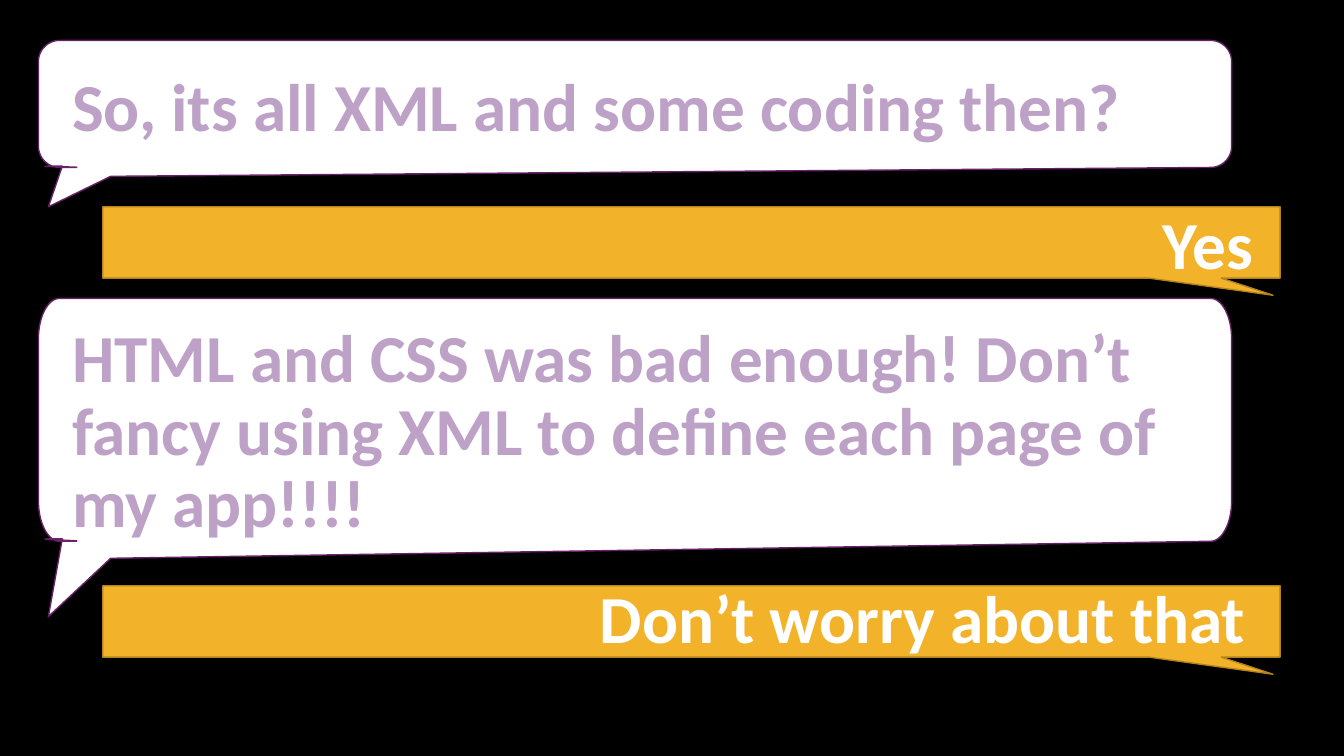
import pptx
import pptx.util
import pptx.dml.color
import pptx.enum.text

Cm = pptx.util.Cm
ALIGN = pptx.enum.text.PP_ALIGN

COLORS = {
    "background": "000000",
    "question": "FFFFFF",
    "question_edge": "69216A",
    "question_text": "BDA1C7",
    "answer": "F2B229",
    "answer_edge": "B3841E",
    "answer_text": "FFFFFF",
}

ANSWERS = [
    {"top": 14.76, "text": "Don’t worry about that", "box": (2.44, 14.6, 29.21, 2.11)},
    {"top": 5.21, "text": "Yes", "box": (4.22, 5.18, 27.61, 2.11)},
]
QUESTIONS = [
    {
        "top": 7.52,
        "height": 6.12,
        "text": "HTML and CSS was bad enough! Don’t fancy using XML to define each page of my app!!!!",
        "box": (1.57, 8, 29.21, 5.84),
    },
    {
        "top": 1.02,
        "height": 3.2,
        "text": "So, its all XML and some coding then?",
        "box": (1.57, 1.7, 29.21, 2.11),
    },
]

ANSWER_LEFT, ANSWER_RIGHT, ANSWER_HEIGHT = 2.59, 32.26, 1.8
QUESTION_LEFT, QUESTION_RIGHT = 0.97, 31.04
CORNER_WIDTH, CORNER_SHARE = 0.53, 1 / 6
CURVE_STEPS = 16
CIRCLE_PULL = 0.55


def rgb(name):
    return pptx.dml.color.RGBColor.from_string(COLORS[name])


def bezier(start, pull_start, pull_end, end):
    curve = []
    for step in range(CURVE_STEPS + 1):
        t = step / CURVE_STEPS
        weights = ((1 - t) ** 3, 3 * t * (1 - t) ** 2, 3 * t * t * (1 - t), t ** 3)
        anchors = (start, pull_start, pull_end, end)
        curve.append(tuple(sum(w * a[axis] for w, a in zip(weights, anchors)) for axis in (0, 1)))
    return curve


def rounded_corner(start, corner, end):
    pulls = [tuple(p + CIRCLE_PULL * (c - p) for p, c in zip(point, corner)) for point in (start, end)]
    return bezier(start, *pulls, end)


def answer_outline(top):
    bottom = top + ANSWER_HEIGHT
    return [
        (ANSWER_LEFT, top), (ANSWER_RIGHT, top), (ANSWER_RIGHT, bottom),
        (30.78, bottom), (32.08, top + 2.23), (28.96, bottom), (ANSWER_LEFT, bottom),
    ]


def question_outline(top, height):
    left, right, bottom = QUESTION_LEFT, QUESTION_RIGHT, top + height
    inner_left, inner_right = left + CORNER_WIDTH, right - CORNER_WIDTH
    upper, lower = top + CORNER_SHARE * height, bottom - CORNER_SHARE * height
    notch = bottom - 0.01 * height
    return [
        *rounded_corner((left, upper), (left, top), (inner_left, top)),
        *rounded_corner((inner_right, top), (right, top), (right, upper)),
        *rounded_corner((right, lower), (right, bottom), (inner_right, bottom)),
        (2.79, bottom + 0.07 * height), (1.22, bottom + 0.31 * height),
        *bezier((1.57, notch), (0.08, notch), (3, bottom), (inner_left, bottom)),
        *rounded_corner((inner_left, bottom), (left, bottom), (left, lower)),
    ]


def add_bubble(slide, outline, kind):
    corners = [(Cm(x), Cm(y)) for x, y in outline]
    builder = slide.shapes.build_freeform(*corners[0], scale=1.0)
    builder.add_line_segments(corners[1:], close=True)
    bubble = builder.convert_to_shape()
    bubble.shadow.inherit = False
    bubble.fill.solid()
    bubble.fill.fore_color.rgb = rgb(kind)
    bubble.line.color.rgb = rgb(kind + "_edge")
    bubble.line.width = pptx.util.Pt(1)


def add_text(slide, text, *, box, color, align, size=48, font="Calibri"):
    frame = slide.shapes.add_textbox(*map(Cm, box)).text_frame
    frame.word_wrap = True
    frame.vertical_anchor = pptx.enum.text.MSO_ANCHOR.MIDDLE
    paragraph = frame.paragraphs[0]
    paragraph.text = text
    paragraph.alignment = align
    paragraph.line_spacing = 0.9
    paragraph.font.name = font
    paragraph.font.size = pptx.util.Pt(size)
    paragraph.font.bold = True
    paragraph.font.color.rgb = rgb(color)


def main():
    """Build the chat slide with question and answer bubbles."""
    deck = pptx.Presentation()
    deck.slide_width, deck.slide_height = Cm(33.87), Cm(19.05)
    slide = deck.slides.add_slide(deck.slide_layouts[6])
    slide.background.fill.solid()
    slide.background.fill.fore_color.rgb = rgb("background")

    for answer in ANSWERS:
        add_bubble(slide, answer_outline(answer["top"]), "answer")
    for question in QUESTIONS:
        add_bubble(slide, question_outline(question["top"], question["height"]), "question")
    for question in reversed(QUESTIONS):
        add_text(slide, question["text"], box=question["box"], color="question_text", align=ALIGN.LEFT)
    for answer in reversed(ANSWERS):
        add_text(slide, answer["text"], box=answer["box"], color="answer_text", align=ALIGN.RIGHT)
    deck.save("out.pptx")


if __name__ == "__main__":
    main()
